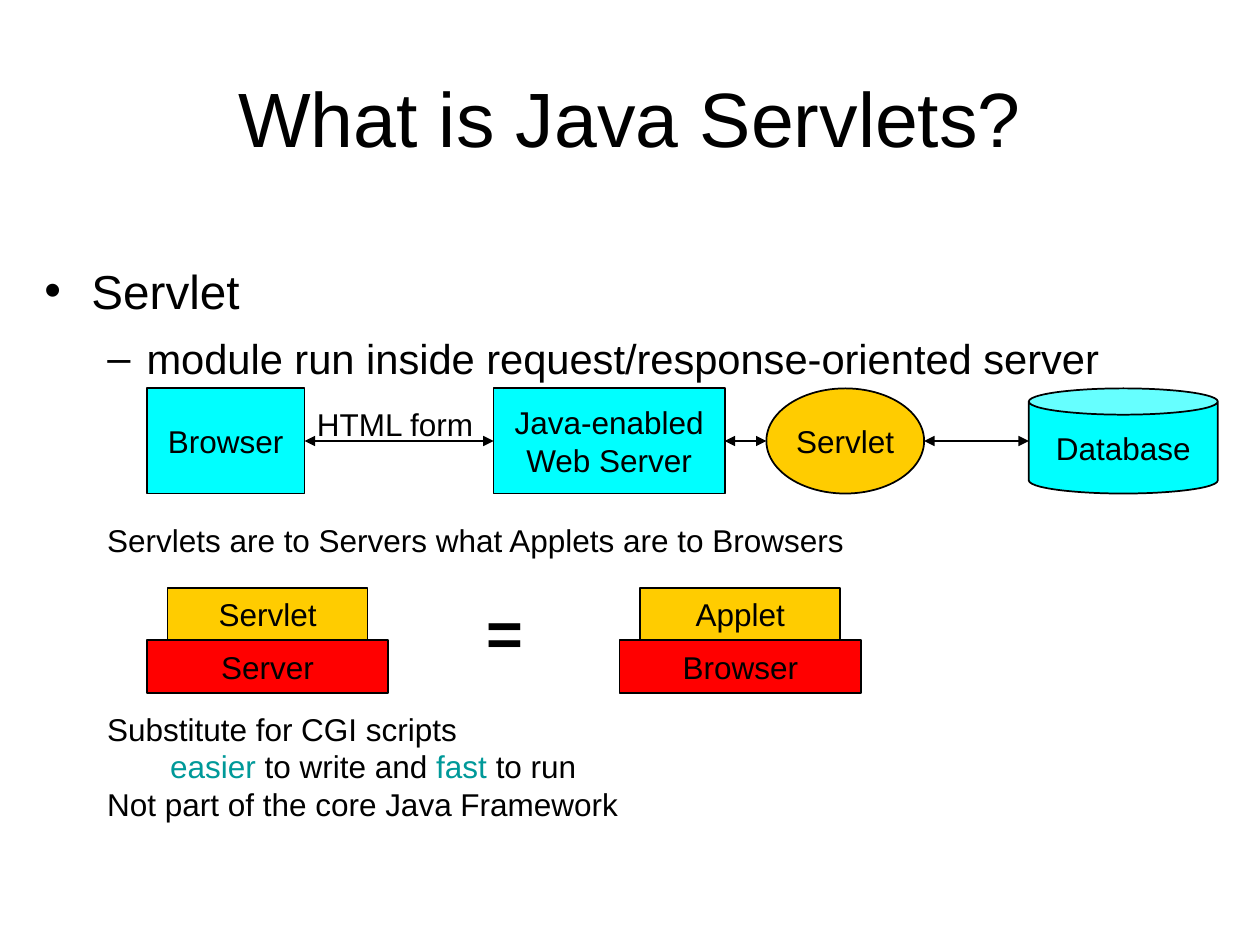
from lxml import etree
from pptx import Presentation
from pptx.dml.color import RGBColor
from pptx.enum import shapes, text
from pptx.oxml.ns import qn
from pptx.util import Cm, Pt

BLACK = RGBColor(0x00, 0x00, 0x00)
CYAN = RGBColor(0x00, 0xFF, 0xFF)
GOLD = RGBColor(0xFF, 0xCC, 0x00)
RED = RGBColor(0xFF, 0x00, 0x00)
TEAL = RGBColor(0x00, 0x99, 0x99)
FONT = "Arial"
SHAPE = shapes.MSO_SHAPE


def place(item, left, top, width, height):
    item.left, item.top = Cm(left), Cm(top)
    item.width, item.height = Cm(width), Cm(height)


def style(para, size=18, color=BLACK, bold=False):
    for span in para.runs:
        span.font.name = FONT
        span.font.size = Pt(size)
        span.font.color.rgb = color
        span.font.bold = bold


def indent(para, margin, first=0):
    properties = para._p.get_or_add_pPr()
    properties.set("marL", str(Cm(margin)))
    properties.set("indent", str(Cm(first)))


def add_title(page, left, top, width, height):
    title = page.shapes.title
    place(title, left, top, width, height)
    frame = title.text_frame
    frame.text = "What is Java Servlets?"
    frame.auto_size = text.MSO_AUTO_SIZE.NONE
    frame.vertical_anchor = text.MSO_ANCHOR.MIDDLE
    frame.paragraphs[0].alignment = text.PP_ALIGN.CENTER
    style(frame.paragraphs[0], 44)


def add_list(page, left, top, width, height):
    body = page.placeholders[1]
    place(body, left, top, width, height)
    frame = body.text_frame
    frame.text = "Servlet\nmodule run inside request/response-oriented server"
    frame.auto_size = text.MSO_AUTO_SIZE.NONE
    frame.margin_top = Cm(0.2)
    topic, detail = frame.paragraphs
    detail.level = 1
    indent(topic, 0.95, -0.95)
    indent(detail, 2.06, -0.79)
    topic.space_before = Pt(0)
    detail.space_before = Pt(8)
    style(topic, 27.2)
    style(detail, 23.8)


def add_node(page, kind, label, fill, left, top, width, height):
    node = page.shapes.add_shape(kind, Cm(left), Cm(top), Cm(width), Cm(height))
    node.shadow.inherit = False
    node.fill.solid()
    node.fill.fore_color.rgb = fill
    node.line.color.rgb = BLACK
    node.line.width = Pt(1)
    frame = node.text_frame
    frame.text = label
    frame.word_wrap = False
    frame.vertical_anchor = text.MSO_ANCHOR.MIDDLE
    for para in frame.paragraphs:
        para.alignment = text.PP_ALIGN.CENTER
        style(para)


def add_double_arrow(page, start, end, height):
    arrow = page.shapes.add_connector(
        shapes.MSO_CONNECTOR.STRAIGHT, Cm(start), Cm(height), Cm(end), Cm(height))
    arrow.line.color.rgb = BLACK
    arrow.line.width = Pt(1)
    for tag in ("a:headEnd", "a:tailEnd"):
        etree.SubElement(arrow.line._get_or_add_ln(), qn(tag), type="triangle")
    etree.SubElement(arrow._element.spPr, qn("a:effectLst"))


def add_text(page, content, left, top, width, height, wrap=True):
    box = page.shapes.add_textbox(Cm(left), Cm(top), Cm(width), Cm(height))
    frame = box.text_frame
    frame.text = content
    frame.word_wrap = wrap
    for para in frame.paragraphs:
        style(para)
    return frame.paragraphs


def add_request_flow(page, left, top, height):
    """Row of nodes, each joined to the next by a double arrow."""
    nodes = [  # shape, label, fill, offset, width
        (SHAPE.RECTANGLE, "Browser", CYAN, 0, 3.18),
        (SHAPE.RECTANGLE, "Java-enabled\nWeb Server", CYAN, 6.99, 4.66),
        (SHAPE.OVAL, "Servlet", GOLD, 12.49, 3.18),
        (SHAPE.CAN, "Database", CYAN, 17.78, 3.81),
    ]
    for kind, label, fill, offset, width in nodes:
        add_node(page, kind, label, fill, left + offset, top, width, height)
    for (*_, offset, width), (*_, next_offset, _) in zip(nodes, nodes[1:]):
        add_double_arrow(page, left + offset + width, left + next_offset,
                         top + height / 2)
    add_text(page, "HTML form", left + 3.18, top + 0.21, 3.86, 1.02)


def add_stack(page, module, host, left, top, width, height):
    """A module resting on the wider host that runs it."""
    inset, layer = 0.42, height / 2
    add_node(page, SHAPE.RECTANGLE, host, RED, left, top + layer, width, layer)
    add_node(page, SHAPE.RECTANGLE, module, GOLD,
             left + inset, top, width - 2 * inset, layer)


def add_comparison(page, left, top, height):
    width, step = 4.87, 9.53
    pairs = [("Servlet", "Server"), ("Applet", "Browser")]
    for index, (module, host) in enumerate(pairs):
        add_stack(page, module, host, left + index * step, top, width, height)
    equals, = add_text(page, "=", left + 6.59, top, 1.24, 1.78, wrap=False)
    style(equals, 36, bold=True)


def add_analogy(page, left, top, width, height):
    para, = add_text(page, "Servlets are to Servers what Applets are to Browsers",
                     left, top, width, height)
    indent(para, 1.27)


def add_remarks(page, left, top, width, height):
    content = "Substitute for CGI scripts\n\nNot part of the core Java Framework"
    paragraphs = add_text(page, content, left, top, width, height)
    for para, margin in zip(paragraphs, (1.27, 2.54, 1.27)):
        indent(para, margin)
    benefits = paragraphs[1]
    for words in ("easier", " to write and ", "fast", " to run"):
        benefits.add_run().text = words
    style(benefits)
    for span in benefits.runs[::2]:
        span.font.color.rgb = TEAL


def main():
    deck = Presentation()
    deck.slide_width, deck.slide_height = Cm(25.4), Cm(19.05)
    page = deck.slides.add_slide(deck.slide_layouts[1])
    left, width = 0.64, 24.34
    add_title(page, 1.27, 0.76, 22.86, 3.18)
    add_list(page, left, 5.08, width, 2.75)
    add_request_flow(page, 2.96, 7.83, 2.12)
    add_comparison(page, 2.96, 11.85, 2.12)
    add_analogy(page, left, 10.37, width, 1.27)
    add_remarks(page, left, 14.18, width, 3.81)
    deck.save("out.pptx")


if __name__ == "__main__":
    main()
